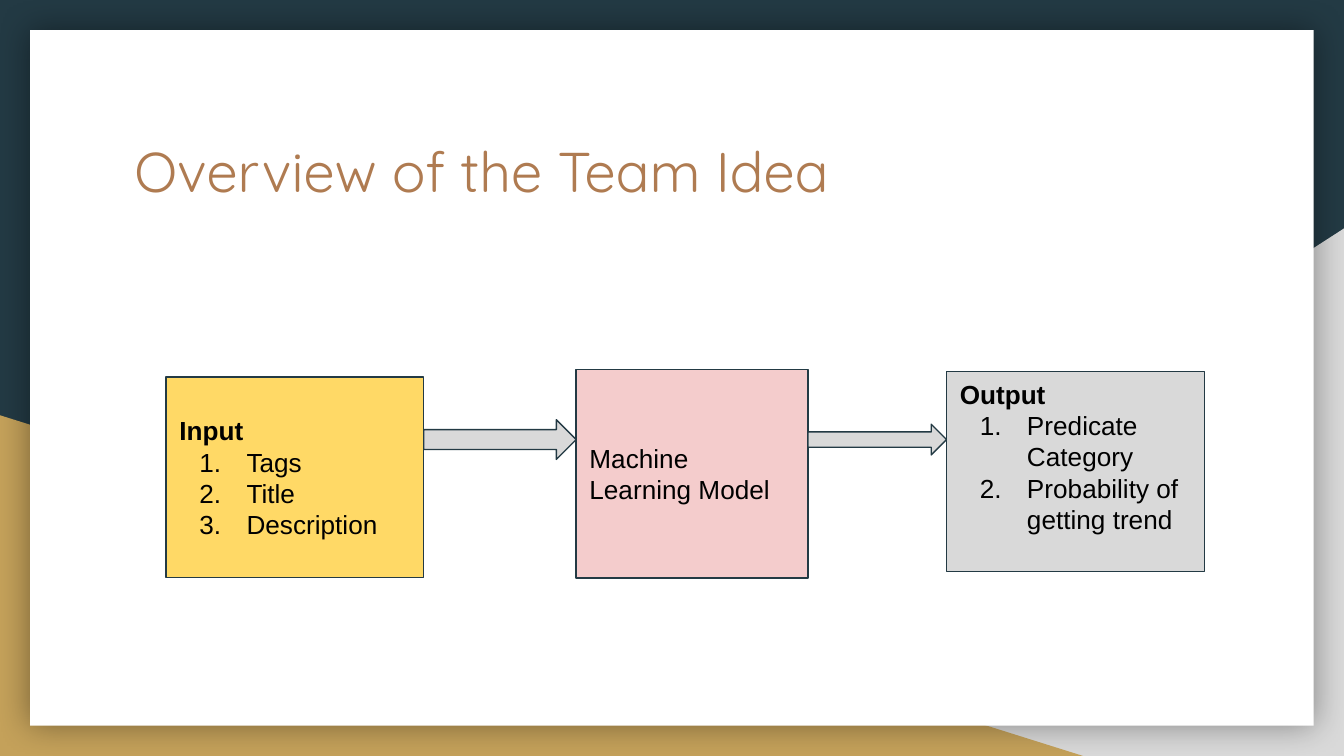
from lxml import etree
from pptx import Presentation
from pptx import util as u
from pptx.dml.color import RGBColor
from pptx.enum import shapes, text
from pptx.oxml import ns

HUES = {
    "night": "233A44", "gray": "D9D9D9", "gold": "C4A15A", "white": "FFFFFF",
    "brown": "AF7B51", "yellow": "FFD966", "pink": "F4CCCC", "black": "000000",
}
KIND = shapes.MSO_SHAPE
WIDE, HIGH = 25.4, 14.29
PAD = 0.25
AXIS = 8.31  # height on the slide at which both arrows run


def hue(name):
    return RGBColor.from_string(HUES[name])


def sub(node, tag, **attrs):
    return etree.SubElement(node, ns.qn(tag), attrs)


def draw(slide, kind, box, fill, line=None):
    """Add a flat preset shape in box (left, top, width, height in cm)."""
    shape = slide.shapes.add_shape(kind, *map(u.Cm, box))
    shape.shadow.inherit = False
    shape.fill.solid()
    shape.fill.fore_color.rgb = hue(fill)
    if line:
        shape.line.color.rgb = hue(line)
        shape.line.width = u.Pt(0.75)
    else:
        shape.line.fill.background()
    return shape


def frame(shape, anchor, foot=PAD):
    """Prepare the text frame of a shape; foot is its bottom margin."""
    body = shape.text_frame
    body.word_wrap = True
    body.vertical_anchor = anchor
    body.margin_left = body.margin_top = body.margin_right = u.Cm(PAD)
    body.margin_bottom = u.Cm(foot)
    return body


def style(para, size, color, font, bold=False):
    para.alignment = text.PP_ALIGN.LEFT
    for run in para.runs:
        run.font.size = u.Pt(size)
        run.font.name = font
        run.font.bold = bold
        run.font.color.rgb = hue(color)


def number(para):
    props = para._p.get_or_add_pPr()
    props.set("marL", str(u.Cm(1.27)))
    props.set("indent", str(u.Cm(-0.89)))
    sub(sub(props, "a:buClr"), "a:srgbClr", val=HUES["black"])
    sub(props, "a:buAutoNum", type="arabicPeriod")


def glow(shape):
    """Give the shape a soft shadow on all sides."""
    effects = shape._element.spPr.find(ns.qn("a:effectLst"))
    outer = sub(effects, "a:outerShdw", blurRad=str(u.Pt(18)), dist="0",
                dir="0", algn="ctr", rotWithShape="0")
    sub(sub(outer, "a:srgbClr", val=HUES["black"]), "a:alpha", val="40000")


def back(slide, wide, high):
    slide.background.fill.solid()
    slide.background.fill.fore_color.rgb = hue("night")
    right = draw(slide, KIND.RIGHT_TRIANGLE,
                 (wide - 15.44, high - 9.97, 15.44, 9.97), "gray")
    right._element.spPr.find(ns.qn("a:xfrm")).set("flipH", "1")
    draw(slide, KIND.RIGHT_TRIANGLE, (0, high - 6.44, 20.47, 6.44), "gold")
    edge = 0.57
    glow(draw(slide, KIND.RECTANGLE,
              (edge, edge, wide - 2 * edge, high - 2 * edge), "white"))


def title(slide, box, words):
    shape = slide.shapes.add_textbox(*map(u.Cm, box))
    body = frame(shape, text.MSO_ANCHOR.TOP)
    body.text = words
    style(body.paragraphs[0], 30, "brown", "Quicksand")


def card(slide, box, fill, head, items=(), foot=PAD):
    """Draw a box with a heading and a numbered list."""
    shape = draw(slide, KIND.RECTANGLE, box, fill, "night")
    body = frame(shape, text.MSO_ANCHOR.MIDDLE, foot)
    body.text = "\n".join([head, *items])
    for i, para in enumerate(body.paragraphs):
        style(para, 14, "black", "Arial", bold=bool(items) and i == 0)
        if i:
            number(para)


def link(slide, start, end, high):
    """Draw a block arrow from the right of one box to the left of the next."""
    left = start[0] + start[2]
    draw(slide, KIND.RIGHT_ARROW,
         (left, AXIS - high / 2, end[0] - left, high), "gray", "night")


def flow(slide, left, top):
    source = (left, top + 0.15, 4.87, 3.79)
    model = (left + 7.75, top, 4.38, 3.95)
    result = (left + 14.75, top + 0.04, 4.87, 3.79)
    card(slide, source, "yellow", "Input", ["Tags", "Title", "Description"])
    link(slide, source, model, 0.75)
    card(slide, model, "pink", "Machine Learning Model")
    link(slide, model, result, 0.58)
    card(slide, result, "gray", "Output",
         ["Predicate Category", "Probability of getting trend"], foot=0.82)


def main():
    deck = Presentation()
    deck.slide_width, deck.slide_height = u.Cm(WIDE), u.Cm(HIGH)
    slide = deck.slides.add_slide(deck.slide_layouts[6])
    back(slide, WIDE, HIGH)
    title(slide, (2.29, 2.34, 20.85, 2.64), "Overview of the Team Idea")
    flow(slide, 3.14, 6.98)
    deck.save("out.pptx")


if __name__ == "__main__":
    main()
